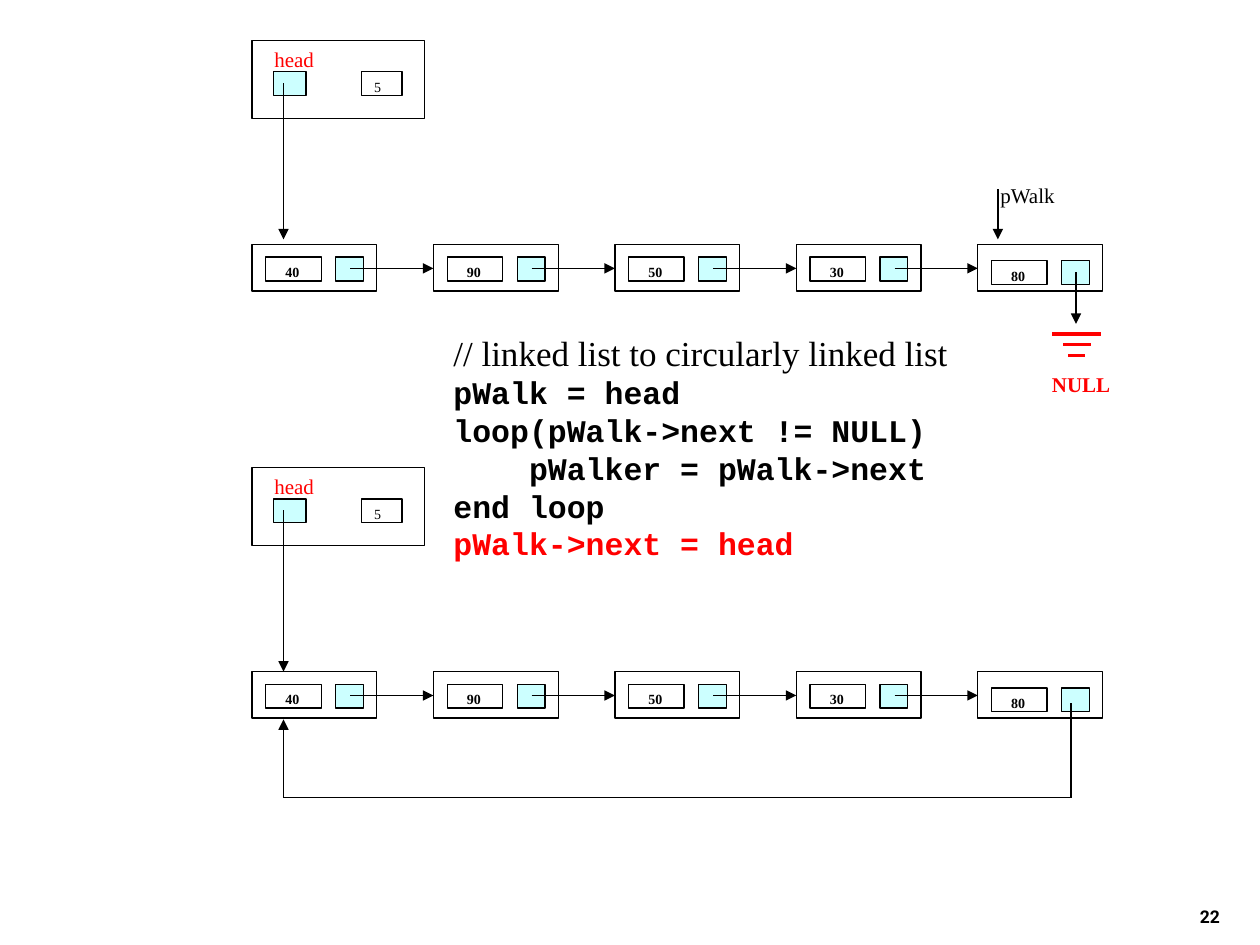
from dataclasses import dataclass

from lxml.etree import SubElement
from pptx import Presentation
from pptx.dml.color import RGBColor
from pptx.enum.shapes import MSO_CONNECTOR, MSO_SHAPE
from pptx.enum.text import MSO_ANCHOR, MSO_AUTO_SIZE, PP_ALIGN
from pptx.oxml.ns import qn
from pptx.util import Emu, Inches, Pt

COLORS = {"ink": "000000", "paper": "FFFFFF", "pointer": "CCFFFF", "accent": "FF0000"}
SERIF, MONO, SANS = "Times New Roman", "Courier New", "Roboto"
COLS, ROWS = 100, 75
NODE_LEFT, NODE_PITCH = 20, 14.4

prs = Presentation()
prs.slide_width, prs.slide_height = Inches(10), Inches(7.5)
s = prs.slides.add_slide(prs.slide_layouts[6])


@dataclass(frozen=True)
class Box:
    """A rectangle in grid columns and rows."""
    col: float
    row: float
    width: float
    height: float

    def emu(self) -> tuple[Emu, Emu, Emu, Emu]:
        """Return left, top, width and height on the slide."""
        return across(self.col), down(self.row), across(self.width), down(self.height)


@dataclass(frozen=True)
class Node:
    """A list node: its value and the row offset of its two cells."""
    value: str
    cell_drop: float = 1


NODES = [Node("40"), Node("90"), Node("50"), Node("30"), Node("80", 1.3)]


def across(cols: float) -> Emu:
    """Convert grid columns to a length."""
    return Emu(round(prs.slide_width * cols / COLS))


def down(rows: float) -> Emu:
    """Convert grid rows to a length."""
    return Emu(round(prs.slide_height * rows / ROWS))


def rgb(name: str) -> RGBColor:
    """Look up a named colour."""
    return RGBColor.from_string(COLORS[name])


def write(tf, text: str, *, size: float = 12, font: str = SERIF, color: str = "ink",
          bold: bool = False, align=PP_ALIGN.LEFT, more: bool = False) -> None:
    """Write one formatted paragraph, appending it when more is set."""
    p = tf.add_paragraph() if more else tf.paragraphs[0]
    p.alignment = align
    r = p.add_run()
    r.text = text
    r.font.size, r.font.name, r.font.bold = Pt(size), font, bold
    r.font.color.rgb = rgb(color)


def rect(box: Box, fill: str = "paper", outlined: bool = True):
    """Draw a rectangle and return its text frame."""
    sp = s.shapes.add_shape(MSO_SHAPE.RECTANGLE, *box.emu())
    sp.shadow.inherit = False
    sp.fill.solid()
    sp.fill.fore_color.rgb = rgb(fill)
    if outlined:
        sp.line.color.rgb = rgb("ink")
        sp.line.width = Pt(0.75)
    else:
        sp.line.fill.background()
    tf = sp.text_frame
    tf.word_wrap = True
    tf.vertical_anchor = MSO_ANCHOR.TOP
    return tf


def label(box: Box, text: str, **style) -> None:
    """Draw an unwrapped text label that fits its text."""
    tf = s.shapes.add_textbox(*box.emu()).text_frame
    tf.word_wrap = False
    tf.auto_size = MSO_AUTO_SIZE.SHAPE_TO_FIT_TEXT
    write(tf, text, **style)


def line(start: tuple[float, float], end: tuple[float, float], *, color: str = "ink",
         width: float = 0.75, arrow: bool = True) -> None:
    """Draw a straight line between two grid points."""
    sp = s.shapes.add_connector(MSO_CONNECTOR.STRAIGHT, across(start[0]), down(start[1]),
                                across(end[0]), down(end[1]))
    sp.line.color.rgb = rgb(color)
    sp.line.width = Pt(width)
    if arrow:
        SubElement(sp.line._get_or_add_ln(), qn("a:tailEnd"), type="triangle")
    SubElement(sp._element.spPr, qn("a:effectLst"))


def draw_node(node: Node, index: int, row: float) -> None:
    """Draw a node with its value cell and pointer cell."""
    col, cell_row = NODE_LEFT + index * NODE_PITCH, row + node.cell_drop
    rect(Box(col, row, 9.9, 3.7))
    tf = rect(Box(col + 1.1, cell_row, 4.4, 1.9))
    tf.margin_left = across(1.56)
    write(tf, node.value, size=8, bold=True)
    rect(Box(col + 6.65, cell_row, 2.2, 1.9), "pointer")


def draw_list(row: float, gap: float) -> None:
    """Draw the list header, the nodes and the links between them."""
    rect(Box(NODE_LEFT, row, 13.7, 6.2))
    write(rect(Box(28.7, row + 2.5, 3.2, 1.9)), "5", size=8)
    rect(Box(21.7, row + 2.5, 2.6, 1.9), "pointer")
    node_row = row + 16.2
    for i, node in enumerate(NODES):
        draw_node(node, i, node_row)
    for i in range(len(NODES) - 1):
        col = NODE_LEFT + i * NODE_PITCH
        line((col + 7.8, node_row + 1.9), (col + NODE_PITCH, node_row + 1.9))
    line((22.5, row + 3.4), (22.5, node_row - gap))
    label(Box(20.35, row, 6, 3), "head", color="accent", align=PP_ALIGN.CENTER)


def draw_return_link() -> None:
    """Link the last node back to the first."""
    line((85, 55.8), (85, 63.3), arrow=False)
    line((85, 63.3), (22.5, 63.3), arrow=False)
    line((22.5, 63.3), (22.5, 57.1))


def draw_code() -> None:
    """Write the algorithm between the two lists."""
    tf = rect(Box(35, 25.8, 43.8, 21.2), outlined=False)
    write(tf, "// linked list to circularly linked list", size=20)
    for text in ("pWalk = head", "loop(pWalk->next != NULL)",
                 "    pWalker = pWalk->next", "end loop"):
        write(tf, text, size=18, font=MONO, bold=True, more=True)
    write(tf, "pWalk->next = head", size=18, font=MONO, bold=True, color="accent", more=True)


def draw_null() -> None:
    """Draw the ground symbol and the link that ends in it."""
    for i, (left, right) in enumerate([(83.5, 87.4), (84.4, 86.6), (84.8, 86.1)]):
        row = 26.5 + 0.85 * i
        line((left, row), (right, row), color="accent", width=2, arrow=False)
    label(Box(82.5, 29, 6.8, 3), "NULL", color="accent", bold=True)
    line((85.4, 21.6), (85.4, 25.7))


def draw_walker() -> None:
    """Draw the walking pointer above the last node."""
    line((79.2, 15), (79.2, 19))
    label(Box(78.2, 14, 6.7, 3), "pWalk", align=PP_ALIGN.CENTER)


def draw_page_number() -> None:
    """Write the page number in the bottom right corner."""
    tf = s.shapes.add_textbox(*Box(77, 69.1, 20.8, 5).emu()).text_frame
    tf.word_wrap = True
    tf.vertical_anchor = MSO_ANCHOR.BOTTOM
    write(tf, "22", size=10, font=SANS, bold=True, align=PP_ALIGN.RIGHT)


def main() -> None:
    """Build and save the slide."""
    draw_page_number()
    draw_list(37.1, gap=0)
    draw_return_link()
    draw_code()
    draw_list(3.2, gap=0.4)
    draw_null()
    draw_walker()
    prs.save("out.pptx")


if __name__ == "__main__":
    main()
